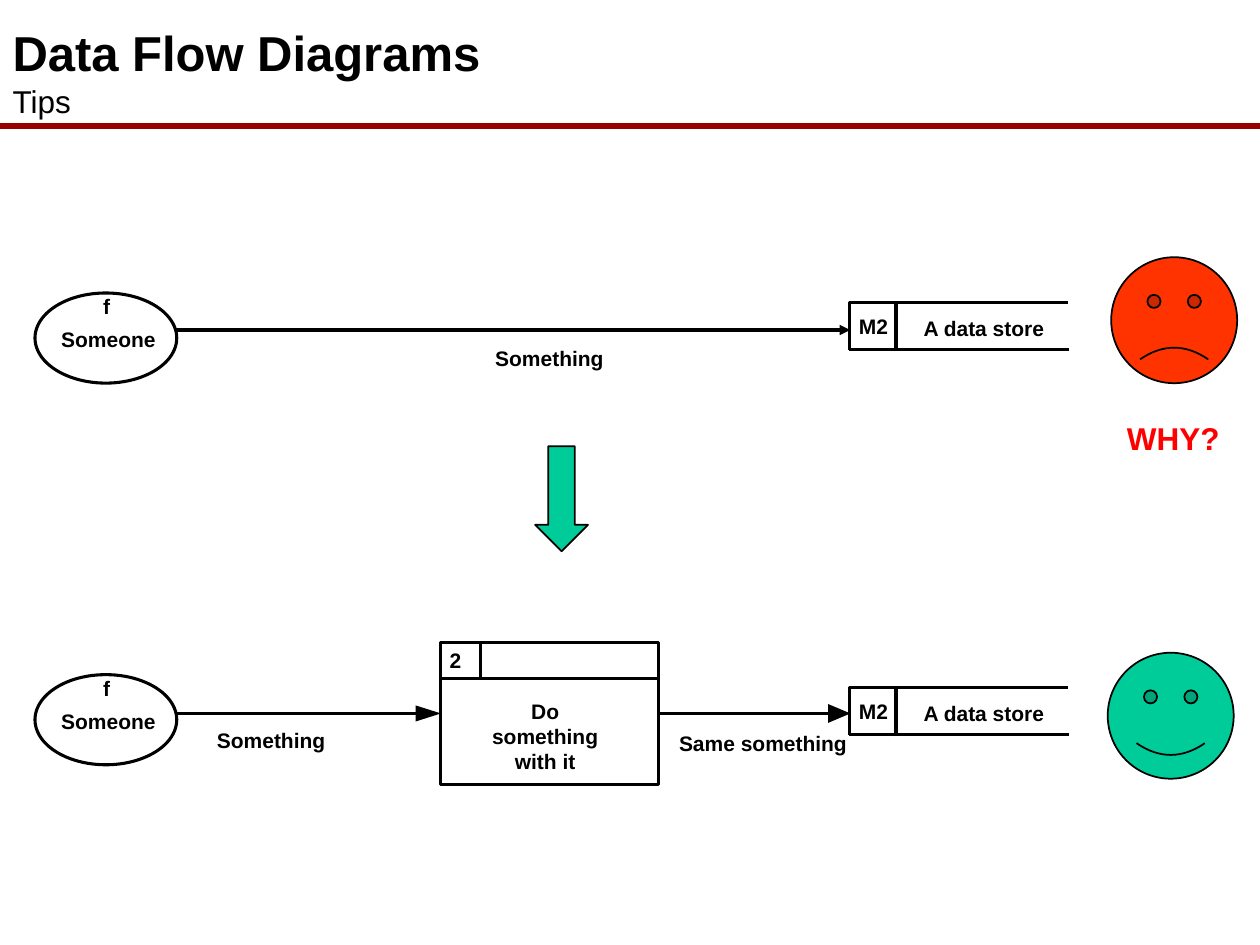
from dataclasses import dataclass
from typing import Optional

from lxml.etree import SubElement
from pptx import Presentation
from pptx.dml.color import RGBColor as RGB
from pptx.enum.shapes import MSO_CONNECTOR as Conn, MSO_SHAPE as Shape
from pptx.enum.text import MSO_ANCHOR as Anchor, MSO_AUTO_SIZE as AutoSize, PP_ALIGN as Align
from pptx.oxml.ns import qn
from pptx.util import Pt


@dataclass(frozen=True)
class Theme:
    font: str = "Arial"
    ink: RGB = RGB(0, 0, 0)
    rule: RGB = RGB(0x99, 0, 0)
    good: RGB = RGB(0, 0xCC, 0x99)
    bad: RGB = RGB(0xFF, 0x33, 0)
    alert: RGB = RGB(0xFF, 0, 0)
    title: float = 28
    subtitle: float = 18
    label: float = 12
    stroke: float = 1.75
    thin: float = 1
    rule_width: float = 4


@dataclass(frozen=True)
class Scene:
    entity_top: float
    store_top: float


@dataclass(frozen=True)
class Face:
    x: float
    y: float
    fill: RGB
    smile: float


T = Theme()
BEFORE = Scene(entity_top=167.4, store_top=172.8)
AFTER = Scene(entity_top=385.5, store_top=392.8)
FACES = [Face(633, 373, T.good, 0.047), Face(635, 147, T.bad, -0.047)]
STORE_LEFT, STORE_WIDTH, STORE_HEIGHT = 485.3, 125, 27
ENTITY_RIGHT = 100.2
PROCESS_LEFT, PROCESS_TOP, PROCESS_WIDTH, PROCESS_HEIGHT = 251.5, 367, 125, 81.4
PROCESS_RIGHT = PROCESS_LEFT + PROCESS_WIDTH
FLOW_Y = PROCESS_TOP + PROCESS_HEIGHT / 2


def add_run(p, text: str, size: float = T.label, color: RGB = T.ink, bold: bool = True) -> None:
    r = p.add_run()
    r.text = text
    r.font.name, r.font.size, r.font.bold = T.font, Pt(size), bold
    r.font.color.rgb = color


def add_text(s, text: str, x: float, y: float, w: float, h: float = 14.4, *,
             size: float = T.label, color: RGB = T.ink, align=Align.LEFT,
             wrap: bool = False, pad_x: float = 0, pad_y: float = 0) -> None:
    tf = s.shapes.add_textbox(Pt(x), Pt(y), Pt(w), Pt(h)).text_frame
    tf.word_wrap = wrap
    tf.margin_left = tf.margin_right = Pt(pad_x)
    tf.margin_top = tf.margin_bottom = Pt(pad_y)
    p = tf.paragraphs[0]
    p.alignment = align
    add_run(p, text, size, color)


def style(sp, fill: Optional[RGB] = None, width: float = T.stroke):
    sp.shadow.inherit = False
    if fill is None:
        sp.fill.background()
    else:
        sp.fill.solid()
        sp.fill.fore_color.rgb = fill
    sp.line.color.rgb = T.ink
    sp.line.width = Pt(width)
    return sp


def add_shape(s, kind, x: float, y: float, w: float, h: float,
              fill: Optional[RGB] = None, width: float = T.stroke):
    return style(s.shapes.add_shape(kind, Pt(x), Pt(y), Pt(w), Pt(h)), fill, width)


def add_line(s, x1: float, y1: float, x2: float, y2: float, *,
             color: RGB = T.ink, width: float = T.stroke, arrow: bool = False):
    c = s.shapes.add_connector(Conn.STRAIGHT, Pt(x1), Pt(y1), Pt(x2), Pt(y2))
    c.line.color.rgb = color
    c.line.width = Pt(width)
    if arrow:
        SubElement(c.line._get_or_add_ln(), qn("a:tailEnd"), type="triangle")
    SubElement(c._element.spPr, qn("a:effectLst"))
    return c


def add_path(s, points: list[tuple[float, float]], close: bool = False,
             fill: Optional[RGB] = None):
    start, *rest = [(Pt(x), Pt(y)) for x, y in points]
    fb = s.shapes.build_freeform(*start)
    fb.add_line_segments(rest, close=close)
    return style(fb.convert_to_shape(), fill)


def add_head(s, tip_x: float, y: float, length: float, half: float) -> None:
    base = tip_x - length
    sp = add_path(s, [(base, y + half), (tip_x, y), (base, y - half)], True, T.ink)
    sp.line.fill.background()


def add_entity(s, top: float) -> None:
    add_shape(s, Shape.OVAL, 20, top, 81, 51.5)
    add_text(s, "f", 59, top + 0.4, 5)
    add_text(s, "Someone", 35, top + 19.2, 56)


def add_store(s, top: float) -> None:
    left, right, bottom = STORE_LEFT, STORE_LEFT + STORE_WIDTH, top + STORE_HEIGHT
    add_line(s, left + 26.7, bottom + 1, left + 26.7, top)
    add_text(s, "M2", left + 5.5, top + 6.4, 20)
    add_text(s, "A data store", left + 42.5, top + 7.4, 72)
    add_line(s, left, bottom, right + 0.5, bottom)
    add_path(s, [(left, bottom), (left, top), (right, top)])


def add_process(s):
    box = add_shape(s, Shape.RECTANGLE, PROCESS_LEFT, PROCESS_TOP, PROCESS_WIDTH, PROCESS_HEIGHT)
    add_line(s, PROCESS_LEFT, 388, PROCESS_RIGHT, 388)
    add_line(s, 274.5, 368, 274.5, 388.7)
    add_text(s, "2", 257, 370.3, 24)
    add_text(s, "Do something with it", 277.7, 399.2, 67.7, 43.2, align=Align.CENTER, wrap=True)
    return box


def add_title(s) -> None:
    sp = s.shapes.title
    sp.left, sp.top, sp.width, sp.height = Pt(0), Pt(9.2), Pt(606), Pt(62.6)
    tf = sp.text_frame
    tf.auto_size, tf.vertical_anchor, tf.word_wrap = AutoSize.NONE, Anchor.BOTTOM, True
    p = tf.paragraphs[0]
    p.alignment = Align.LEFT
    add_run(p, "Data Flow Diagrams", T.title)
    p.add_line_break()
    add_run(p, "Tips", T.subtitle, bold=False)


def main() -> None:
    prs = Presentation()
    prs.slide_width, prs.slide_height = Pt(720), Pt(540)
    s = prs.slides.add_slide(prs.slide_layouts[5])

    # Heading
    add_line(s, 0, 72, 720, 72, color=T.rule, width=T.rule_width)
    add_title(s)

    # External entities and data stores of both diagrams
    process = add_process(s)
    for scene in (BEFORE, AFTER):
        add_entity(s, scene.entity_top)
        add_store(s, scene.store_top)

    # Before: the flow goes straight into the store
    add_text(s, "Something", 283, 197.5, 64)
    add_line(s, ENTITY_RIGHT, 188.6, STORE_LEFT + 0.5, 188.6, arrow=True)

    # After: the flow passes through a process
    add_text(s, "Something", 124, 415.7, 64)
    add_line(s, ENTITY_RIGHT, FLOW_Y, 238, FLOW_Y)
    add_head(s, 252, FLOW_Y, 14.5, 4.6)
    add_text(s, "Same something", 388, 417.5, 98)
    flow = add_line(s, PROCESS_RIGHT, FLOW_Y, 474.5, FLOW_Y)
    flow.begin_connect(process, 3)
    add_head(s, 486, FLOW_Y, 12.8, 5.4)

    # Verdicts
    for face in FACES:
        sp = add_shape(s, Shape.SMILEY_FACE, face.x, face.y, 72, 72, face.fill, T.thin)
        sp.adjustments[0] = face.smile
    add_text(s, "WHY?", 622, 235.8, 82, 28.8, size=T.subtitle, color=T.alert,
             align=Align.RIGHT, wrap=True, pad_x=7.2, pad_y=3.6)

    # Step from before to after
    add_shape(s, Shape.DOWN_ARROW, 305.8, 255, 30.2, 60, T.good, T.thin)

    prs.save("out.pptx")


if __name__ == "__main__":
    main()
